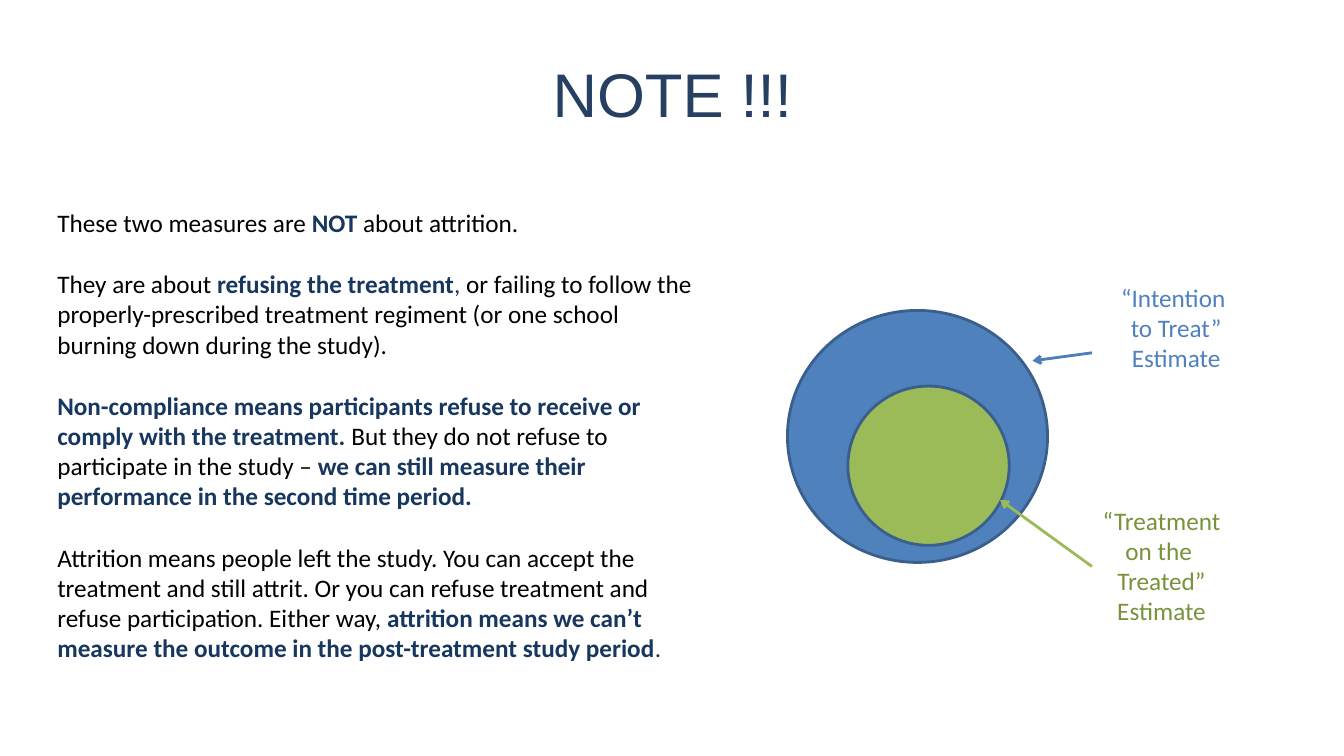
from lxml import etree
from pptx import Presentation
from pptx.dml.color import RGBColor
from pptx.enum.shapes import MSO_CONNECTOR, MSO_SHAPE
from pptx.enum.text import MSO_ANCHOR, MSO_AUTO_SIZE, PP_ALIGN
from pptx.oxml.ns import qn
from pptx.util import Inches, Pt

STRAIGHT = MSO_CONNECTOR.STRAIGHT
OVAL = MSO_SHAPE.OVAL
MIDDLE, TOP = MSO_ANCHOR.MIDDLE, MSO_ANCHOR.TOP
GROW, FIXED = MSO_AUTO_SIZE.SHAPE_TO_FIT_TEXT, MSO_AUTO_SIZE.NONE
LEFT, CENTER = PP_ALIGN.LEFT, PP_ALIGN.CENTER

COLORS = {
    "title": "254061",
    "text": "000000",
    "strong": "17375E",
    "blue": "4F81BD",
    "blue_arrow": "4B7EBC",
    "outline": "3A5F8C",
    "green": "9BBB59",
    "green_text": "77933C",
}

PLAIN = {"color": "text", "bold": False}
STRONG = {"color": "strong", "bold": True}
ACCENT = {"color": "strong", "bold": False}

EXPLANATION = [
    [("These two measures are ", PLAIN), ("NOT", STRONG), (" about attrition.", PLAIN)],
    [
        ("They are about ", PLAIN),
        ("refusing the treatment", STRONG),
        (", ", ACCENT),
        ("or failing to follow the properly-prescribed treatment regiment "
         "(or one school burning down during the study).", PLAIN),
    ],
    [
        ("Non-compliance means participants refuse to receive or comply "
         "with the treatment. ", STRONG),
        ("But they do not refuse to participate in the study – ", PLAIN),
        ("we can still measure their performance in the second time period.", STRONG),
    ],
    [
        ("Attrition means people left the study. You can accept the treatment and "
         "still attrit. Or you can refuse treatment and refuse participation. "
         "Either way, ", PLAIN),
        ("attrition means we can’t measure the outcome in the post-treatment "
         "study period", STRONG),
        (".", ACCENT),
    ],
]


def color(name):
    """Return the named colour."""
    return RGBColor.from_string(COLORS[name])


def add_span(para, text, style, size, name):
    """Add styled text, turning newlines into line breaks."""
    for index, line in enumerate(text.split("\n")):
        if index:
            para.add_line_break()
        span = para.add_run()
        span.text = line
        span.font.color.rgb = color(style["color"])
        formats = {"size": Pt(size), "name": name, "bold": style["bold"]}
        for key, value in formats.items():
            setattr(span.font, key, value)


def add_text(page, place, paragraphs, size=18, name="Calibri", align=LEFT,
             gap=0, **frame_formats):
    """Add a text box made of paragraphs of styled spans."""
    frame = page.shapes.add_textbox(*map(Inches, place)).text_frame
    formats = {"word_wrap": True, "auto_size": GROW, "vertical_anchor": TOP}
    for key, value in (formats | frame_formats).items():
        setattr(frame, key, value)
    for index, spans in enumerate(paragraphs):
        para = frame.add_paragraph() if index else frame.paragraphs[0]
        para.alignment = align
        para.space_before = Pt(gap if index else 0)
        for text, style in spans:
            add_span(para, text, style, size, name)


def add_label(page, place, lines, color_name):
    """Add a centred label in one colour."""
    style = {"color": color_name, "bold": False}
    add_text(page, place, [[(line, style)] for line in lines],
             align=CENTER, word_wrap=False)


def add_circle(page, place, fill):
    """Add an outlined ellipse."""
    circle = page.shapes.add_shape(OVAL, *map(Inches, place))
    circle.shadow.inherit = False
    circle.fill.solid()
    circle.fill.fore_color.rgb = color(fill)
    circle.line.color.rgb = color("outline")
    circle.line.width = Pt(2)


def add_arrow(page, start, end, color_name):
    """Add a straight line with an open arrowhead at its end."""
    arrow = page.shapes.add_connector(STRAIGHT, *map(Inches, start + end))
    arrow.line.color.rgb = color(color_name)
    arrow.line.width = Pt(2)
    etree.SubElement(arrow.line._get_or_add_ln(), qn("a:tailEnd"), type="arrow")
    etree.SubElement(arrow._element.spPr, qn("a:effectLst"))


def main():
    """Build the slide and save it."""
    deck = Presentation()
    deck.slide_width, deck.slide_height = Inches(13.33), Inches(7.5)
    page = deck.slides.add_slide(deck.slide_layouts[6])

    title_style = {"color": "title", "bold": False}
    add_text(page, (0.67, 0.3, 12, 1.25), [[("NOTE !!!", title_style)]],
             size=44, name="Arial", align=CENTER,
             auto_size=FIXED, vertical_anchor=MIDDLE)

    add_circle(page, (7.81, 3.08, 2.58, 2.5), "blue")
    add_circle(page, (8.41, 3.83, 1.6, 1.58), "green")
    add_arrow(page, (10.83, 3.5), (10.24, 3.58), "blue_arrow")
    add_arrow(page, (10.83, 5.62), (9.92, 4.96), "green")
    add_label(page, (10.83, 4.96, 1.38, 1.31),
              ["“Treatment", "on the ", "Treated”\nEstimate"], "green_text")
    add_label(page, (11.01, 2.75, 1.31, 1.01),
              ["“Intention ", "to Treat”\nEstimate"], "blue")

    add_text(page, (0.47, 2.01, 6.55, 4.64), EXPLANATION, gap=22)
    deck.save("out.pptx")


if __name__ == "__main__":
    main()
